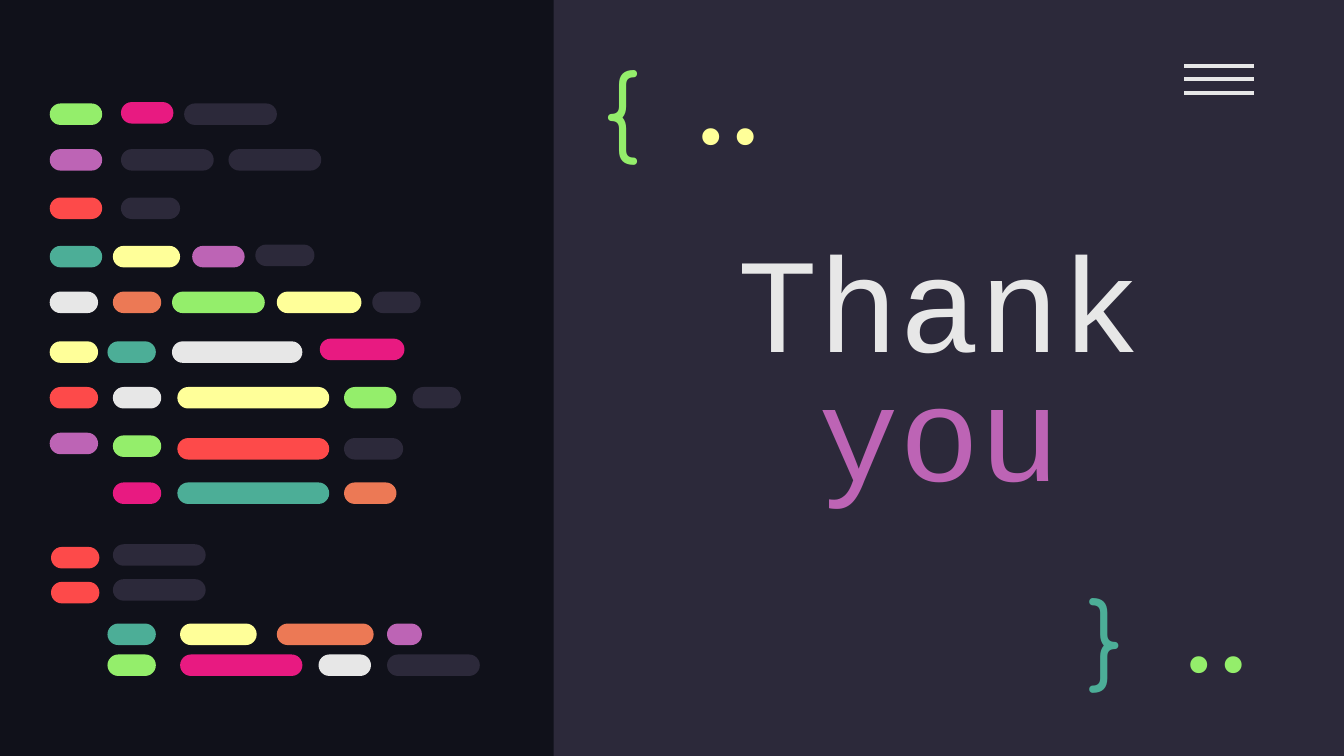
from typing import NamedTuple

from lxml.etree import SubElement
from pptx import Presentation
from pptx.dml.color import RGBColor
from pptx.enum.shapes import MSO_CONNECTOR, MSO_SHAPE
from pptx.enum.text import MSO_ANCHOR, PP_ALIGN
from pptx.oxml.ns import qn
from pptx.util import Inches, Pt

NIGHT = RGBColor(0x10, 0x11, 0x1A)
SLATE = RGBColor(0x2C, 0x29, 0x3A)
WHITE = RGBColor(0xE7, 0xE7, 0xE7)
GREEN = RGBColor(0x94, 0xEE, 0x6B)
PINK = RGBColor(0xE8, 0x1A, 0x81)
PURPLE = RGBColor(0xBD, 0x64, 0xB5)
RED = RGBColor(0xFD, 0x4A, 0x4A)
TEAL = RGBColor(0x4C, 0xAE, 0x97)
YELLOW = RGBColor(0xFF, 0xFF, 0x99)
ORANGE = RGBColor(0xEC, 0x79, 0x55)

# 16:9 slide under a square grid of 1000 columns
COLS = 1000
ROWS = COLS * 9 / 16
CELL = Inches(10) // COLS
PILL_H = 16


class Pill(NamedTuple):
    col: int
    width: int
    color: RGBColor
    shift: int = 0  # rows below the line's own row


class Run(NamedTuple):
    text: str
    color: RGBColor


class Label(NamedTuple):
    box: tuple[float, float, float, float]
    runs: list[Run]
    font: str
    size: int = 50
    align: PP_ALIGN = PP_ALIGN.LEFT
    anchor: MSO_ANCHOR = MSO_ANCHOR.TOP
    spacing: float = 1.0


# Row of each code line, then its pills
CODE = {
    77: [Pill(37, 39, GREEN), Pill(90, 39, PINK, -1), Pill(137, 69, SLATE)],
    111: [Pill(37, 39, PURPLE), Pill(90, 69, SLATE), Pill(170, 69, SLATE)],
    147: [Pill(37, 39, RED), Pill(90, 44, SLATE)],
    183: [Pill(37, 39, TEAL), Pill(84, 50, YELLOW), Pill(143, 39, PURPLE),
          Pill(190, 44, SLATE, -1)],
    217: [Pill(37, 36, WHITE), Pill(84, 36, ORANGE), Pill(128, 69, GREEN),
          Pill(206, 63, YELLOW), Pill(277, 36, SLATE)],
    254: [Pill(37, 36, YELLOW), Pill(80, 36, TEAL), Pill(128, 97, WHITE),
          Pill(238, 63, PINK, -2)],
    288: [Pill(37, 36, RED), Pill(84, 36, WHITE), Pill(132, 113, YELLOW),
          Pill(256, 39, GREEN), Pill(307, 36, SLATE)],
    324: [Pill(37, 36, PURPLE, -2), Pill(84, 36, GREEN), Pill(132, 113, RED, 2),
          Pill(256, 44, SLATE, 2)],
    359: [Pill(84, 36, PINK), Pill(132, 113, TEAL), Pill(256, 39, ORANGE)],
    407: [Pill(38, 36, RED), Pill(84, 69, SLATE, -2)],
    433: [Pill(38, 36, RED), Pill(84, 69, SLATE, -2)],
    464: [Pill(80, 36, TEAL), Pill(134, 57, YELLOW), Pill(206, 72, ORANGE),
          Pill(288, 26, PURPLE)],
    487: [Pill(80, 36, GREEN), Pill(134, 91, PINK), Pill(237, 39, WHITE),
          Pill(288, 69, SLATE)],
}

LABELS = [
    Label((476, 143, 446, 277), [Run("Thank ", WHITE), Run("you", PURPLE)],
          "Courier New", 72, PP_ALIGN.CENTER, MSO_ANCHOR.MIDDLE, 0.8),
    Label((439, 27, 77, 95), [Run("{", GREEN)], "Comfortaa"),
    Label((800, 420, 57, 83), [Run("}", TEAL)], "Comfortaa"),
    Label((851, 443, 107, 60), [Run("..", GREEN)], "Fira Code",
          align=PP_ALIGN.RIGHT, anchor=MSO_ANCHOR.MIDDLE),
    Label((488, 50, 107, 60), [Run("..", YELLOW)], "Fira Code",
          align=PP_ALIGN.RIGHT, anchor=MSO_ANCHOR.MIDDLE),
]


def grid(*cells: float) -> list[int]:
    return [int(n * CELL) for n in cells]


def add_block(s, kind: MSO_SHAPE, box: tuple[float, float, float, float],
              color: RGBColor):
    sp = s.shapes.add_shape(kind, *grid(*box))
    sp.shadow.inherit = False
    sp.fill.solid()
    sp.fill.fore_color.rgb = color
    sp.line.fill.background()
    return sp


def add_pill(s, row: int, pill: Pill) -> None:
    box = (pill.col, row + pill.shift, pill.width, PILL_H)
    sp = add_block(s, MSO_SHAPE.ROUNDED_RECTANGLE, box, pill.color)
    sp.adjustments[0] = 0.5


def add_menu_line(s, row: int) -> None:
    line = s.shapes.add_connector(MSO_CONNECTOR.STRAIGHT, *grid(881, row, 933, row))
    line.line.color.rgb = WHITE
    line.line.width = Pt(2.25)
    SubElement(line._element.spPr, qn("a:effectLst"))


def add_label(s, label: Label) -> None:
    tf = s.shapes.add_textbox(*grid(*label.box)).text_frame
    tf.word_wrap = True
    tf.vertical_anchor = label.anchor
    tf.margin_left = tf.margin_right = tf.margin_top = tf.margin_bottom = Inches(0.1)
    p = tf.paragraphs[0]
    p.alignment = label.align
    p.line_spacing = label.spacing
    for run in label.runs:
        r = p.add_run()
        r.text = run.text
        r.font.name = label.font
        r.font.size = Pt(label.size)
        r.font.color.rgb = run.color


def main() -> None:
    prs = Presentation()
    prs.slide_width, prs.slide_height = grid(COLS, ROWS)
    s = prs.slides.add_slide(prs.slide_layouts[6])
    s.background.fill.solid()
    s.background.fill.fore_color.rgb = NIGHT

    # Right panel with its menu icon
    add_block(s, MSO_SHAPE.RECTANGLE, (412, 0, COLS - 412, ROWS), SLATE)
    for i in range(3):
        add_menu_line(s, 49 + 10 * i)

    # Code lines on the left
    for row, pills in CODE.items():
        for pill in pills:
            add_pill(s, row, pill)

    # Title, braces and dots
    for label in LABELS:
        add_label(s, label)

    prs.save("out.pptx")


if __name__ == "__main__":
    main()
